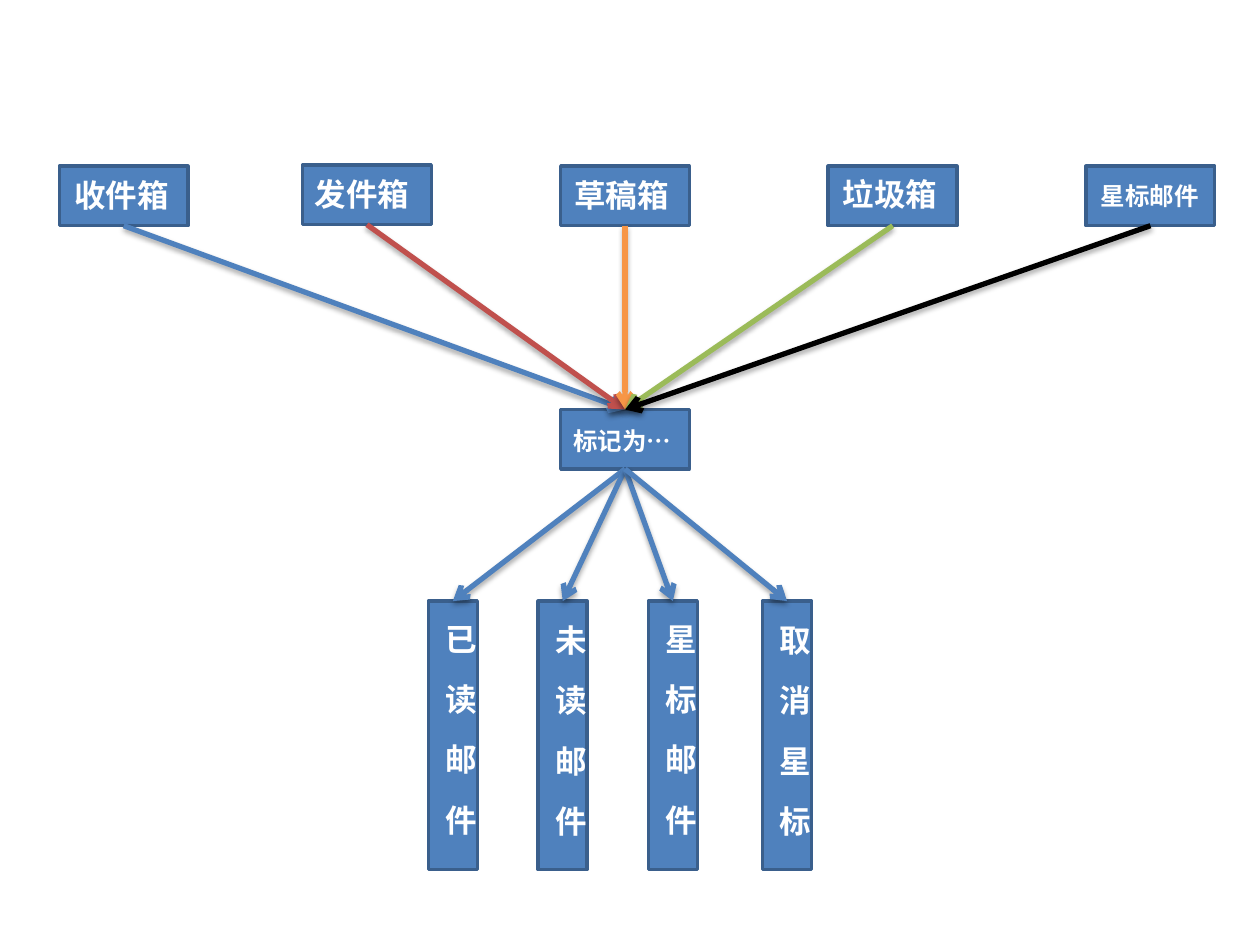
"""Build a slide showing how mail folders flow into marking options."""
from dataclasses import dataclass

import pptx
import pptx.dml.color
import pptx.enum.shapes
import pptx.enum.text
import pptx.oxml
import pptx.oxml.ns
import pptx.util

Pt = pptx.util.Pt
BLUE, EDGE, WHITE = "4F81BD", "3A5F8C", "FFFFFF"
BOX_W, BOX_H = 73.6, 34
OPTION_W, OPTION_H, OPTION_TOP = 28, 153.4, 343.5
BOTTOM, TOP = 2, 0
LETTER_GAP = 16.5


@dataclass
class Node:
    text: str
    left: float
    top: float
    label_left: float
    label_top: float
    size: int = 18
    arrow: str = BLUE


FOLDERS = [
    Node("收件箱", 33.9, 95, 35.3, 97.2),
    Node("发件箱", 172.9, 94.4, 172.8, 96.5, arrow="C0504D"),
    Node("草稿箱", 320.4, 95, 321.1, 97.2, arrow="F79646"),
    Node("垃圾箱", 473.3, 95, 474.4, 96.5, arrow="9BBB59"),
    Node("星标邮件", 620.6, 95, 622, 100.1, 14, "000000"),
]
MARK = Node("标记为…", 320.4, 234, 320.4, 239.8, 14)
OPTIONS = [
    Node("已读邮件", 244.8, OPTION_TOP, 241.2, 349.2),
    Node("未读邮件", 307.6, OPTION_TOP, 303.9, 349.9),
    Node("星标邮件", 370.5, OPTION_TOP, 366.6, 349.2),
    Node("取消星标", 435.8, OPTION_TOP, 432, 349.9),
]


def rgb(value: str) -> pptx.dml.color.RGBColor:
    return pptx.dml.color.RGBColor.from_string(value)


def xml(text: str):
    ns = pptx.oxml.ns.nsdecls("a")
    return pptx.oxml.parse_xml(text.replace(" ", f" {ns} ", 1))


def add_box(s, node: Node, width: float, height: float):
    sp = s.shapes.add_shape(
        pptx.enum.shapes.MSO_SHAPE.RECTANGLE,
        Pt(node.left), Pt(node.top), Pt(width), Pt(height))
    sp.shadow.inherit = False
    sp.fill.solid()
    sp.fill.fore_color.rgb = rgb(BLUE)
    sp.line.color.rgb = rgb(EDGE)
    sp.line.width = Pt(2)
    return sp


def add_run(p, text: str, size: int, spacing: float = 0) -> None:
    r = p.add_run()
    r.text = text
    r.font.name = "Calibri"
    r.font.size = Pt(size)
    r.font.bold = True
    r.font.color.rgb = rgb(WHITE)
    if spacing:
        r.font._element.set("spc", str(round(spacing * 100)))


def add_label(s, node: Node, width: float, height: float):
    sp = s.shapes.add_textbox(
        Pt(node.label_left), Pt(node.label_top), Pt(width), Pt(height))
    tf = sp.text_frame
    tf.word_wrap = True
    tf.auto_size = pptx.enum.text.MSO_AUTO_SIZE.SHAPE_TO_FIT_TEXT
    return tf


def add_flat_label(s, node: Node) -> None:
    tf = add_label(s, node, 71.3, 29 if node.size == 18 else 24.3)
    add_run(tf.paragraphs[0], node.text, node.size)


def add_vertical_label(s, node: Node) -> None:
    tf = add_label(s, node, 36.3, 141.8)
    tf._txBody.bodyPr.set("vert", "eaVert")
    p = tf.paragraphs[0]
    add_run(p, node.text[:-1], node.size, LETTER_GAP)
    add_run(p, node.text[-1], node.size)


def add_arrow(s, start, end, color: str) -> None:
    line = s.shapes.add_connector(
        pptx.enum.shapes.MSO_CONNECTOR.STRAIGHT, 0, 0, 0, 0)
    line.begin_connect(start, BOTTOM)
    line.end_connect(end, TOP)
    line.line.color.rgb = rgb(color)
    line.line.width = Pt(3)
    line.line._get_or_add_ln().append(xml('<a:tailEnd type="arrow"/>'))
    line._element.spPr.append(xml(
        f'<a:effectLst ><a:outerShdw blurRad="{Pt(3.1)}" dist="{Pt(1.8)}" '
        'dir="5400000" rotWithShape="0"><a:srgbClr val="000000">'
        '<a:alpha val="35000"/></a:srgbClr></a:outerShdw></a:effectLst>'))


def main() -> None:
    prs = pptx.Presentation()
    prs.slide_width, prs.slide_height = Pt(720), Pt(540)
    s = prs.slides.add_slide(prs.slide_layouts[6])

    folders = [add_box(s, node, BOX_W, BOX_H) for node in FOLDERS]
    mark = add_box(s, MARK, BOX_W, BOX_H)
    for node in [*FOLDERS, MARK]:
        add_flat_label(s, node)
    for node, sp in zip(FOLDERS, folders):
        add_arrow(s, sp, mark, node.arrow)

    options = [add_box(s, node, OPTION_W, OPTION_H) for node in OPTIONS]
    for node, sp in zip(OPTIONS, options):
        add_arrow(s, mark, sp, node.arrow)
    for node in OPTIONS:
        add_vertical_label(s, node)

    prs.save("out.pptx")


if __name__ == "__main__":
    main()
